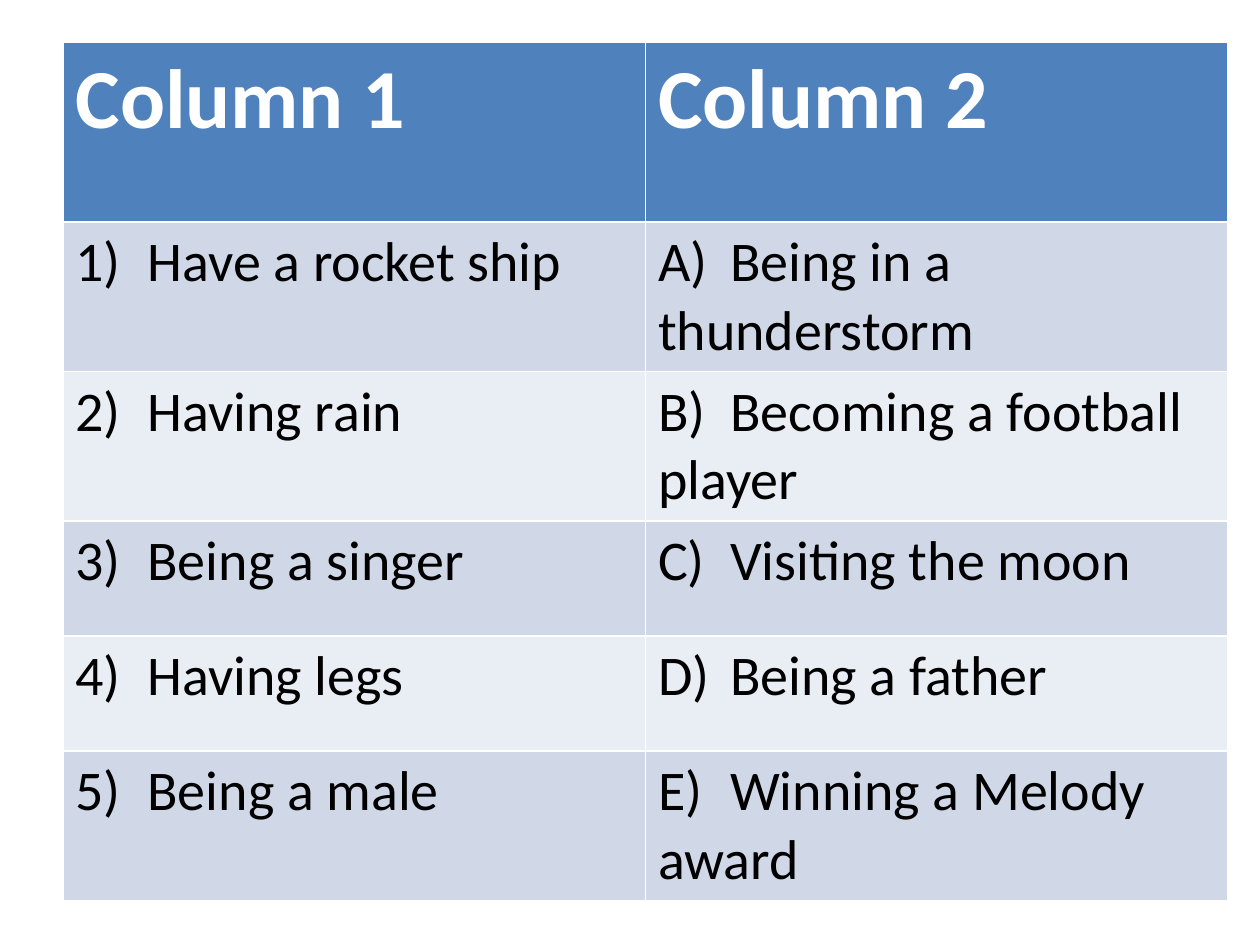
from dataclasses import dataclass

from lxml.etree import SubElement
from pptx import Presentation
from pptx.dml.color import RGBColor
from pptx.oxml.ns import qn
from pptx.util import Emu, Pt

PX = 914400 // 126
FONT = "Calibri"
LEFT, TOP, WIDTH, HEIGHT = 63, 42, 1165, 852
HEADER_HEIGHT, ROW_HEIGHT = 180, 115
LABEL_WIDTH = 72
BANDS = ("D0D8E8", "E9EDF4")


@dataclass(frozen=True)
class CellStyle:
    fill: str
    color: str
    size: int
    bold: bool


HEADER = CellStyle("4F81BD", "FFFFFF", 48, True)
BODY = [CellStyle(band, "000000", 32, False) for band in BANDS]

ROWS = [
    ("Column 1", "Column 2"),
    ("1)\tHave a rocket ship", "A)\tBeing in a thunderstorm"),
    ("2)\tHaving rain", "B)\tBecoming a football player"),
    ("3)\tBeing a singer", "C)\tVisiting the moon"),
    ("4)\tHaving legs", "D)\tBeing a father"),
    ("5)\tBeing a male", "E)\tWinning a Melody award"),
]


def px(length: int) -> Emu:
    return Emu(length * PX)


def rgb(color: str) -> RGBColor:
    return RGBColor.from_string(color)


def add_tab_stop(para, position: int) -> None:
    stops = SubElement(para._p.get_or_add_pPr(), qn("a:tabLst"))
    SubElement(stops, qn("a:tab"), pos=str(px(position)), algn="l")


def write_cell(cell, text: str, style: CellStyle) -> None:
    cell.fill.solid()
    cell.fill.fore_color.rgb = rgb(style.fill)
    para = cell.text_frame.paragraphs[0]
    if "\t" in text:
        add_tab_stop(para, LABEL_WIDTH)
    span = para.add_run()
    span.text = text
    span.font.name = FONT
    span.font.size = Pt(style.size)
    span.font.bold = style.bold
    span.font.color.rgb = rgb(style.color)


def add_matching_table(page) -> None:
    frame = page.shapes.add_table(
        len(ROWS), len(ROWS[0]), px(LEFT), px(TOP), px(WIDTH), px(HEIGHT)
    )
    table = frame.table
    for index, texts in enumerate(ROWS):
        style = BODY[(index - 1) % len(BODY)] if index else HEADER
        table.rows[index].height = px(ROW_HEIGHT if index else HEADER_HEIGHT)
        for column, text in enumerate(texts):
            write_cell(table.cell(index, column), text, style)
    frame.height = px(HEIGHT)


def main() -> None:
    deck = Presentation()
    deck.slide_width, deck.slide_height = px(1260), px(945)
    page = deck.slides.add_slide(deck.slide_layouts[6])
    add_matching_table(page)
    deck.save("out.pptx")


if __name__ == "__main__":
    main()
